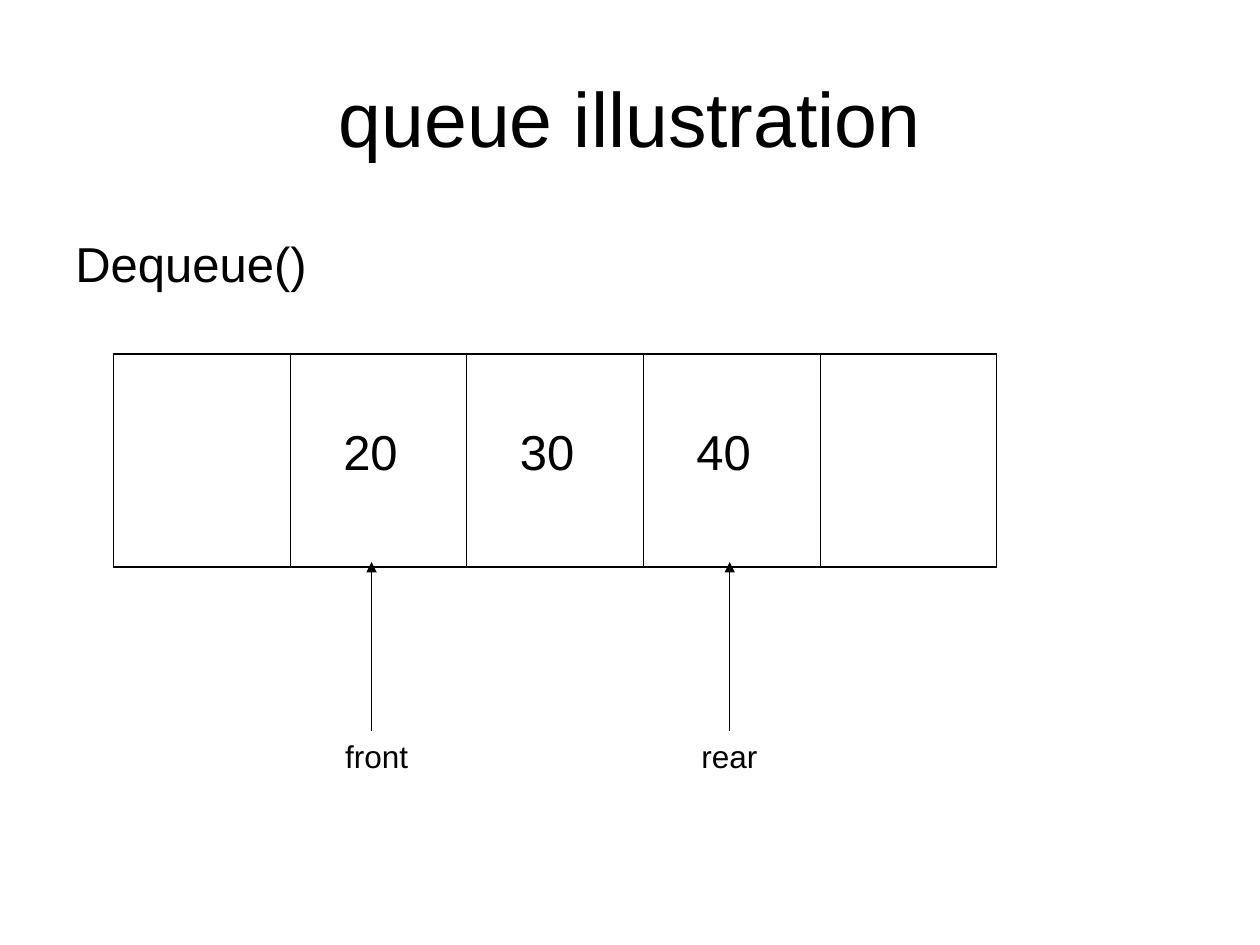
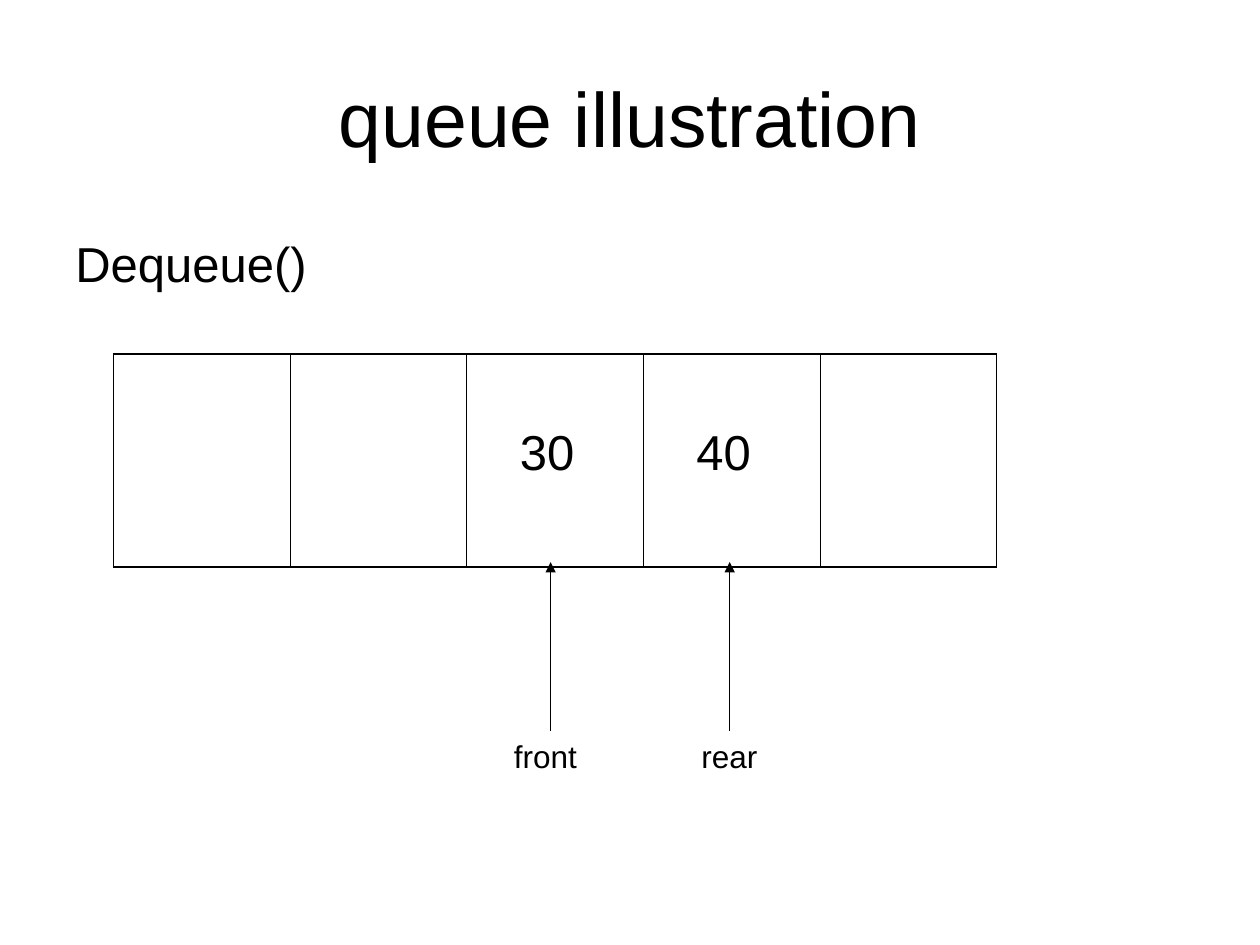
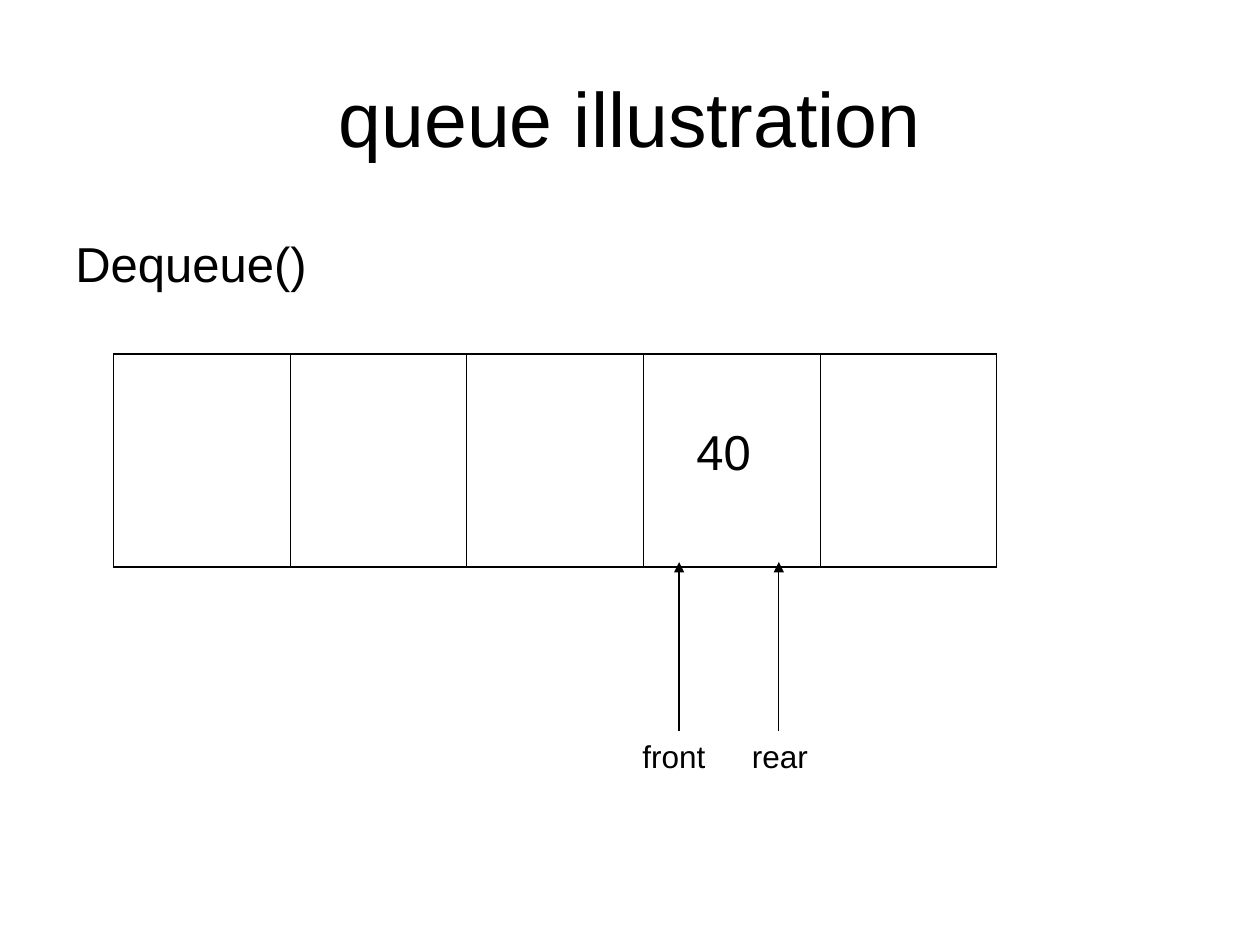
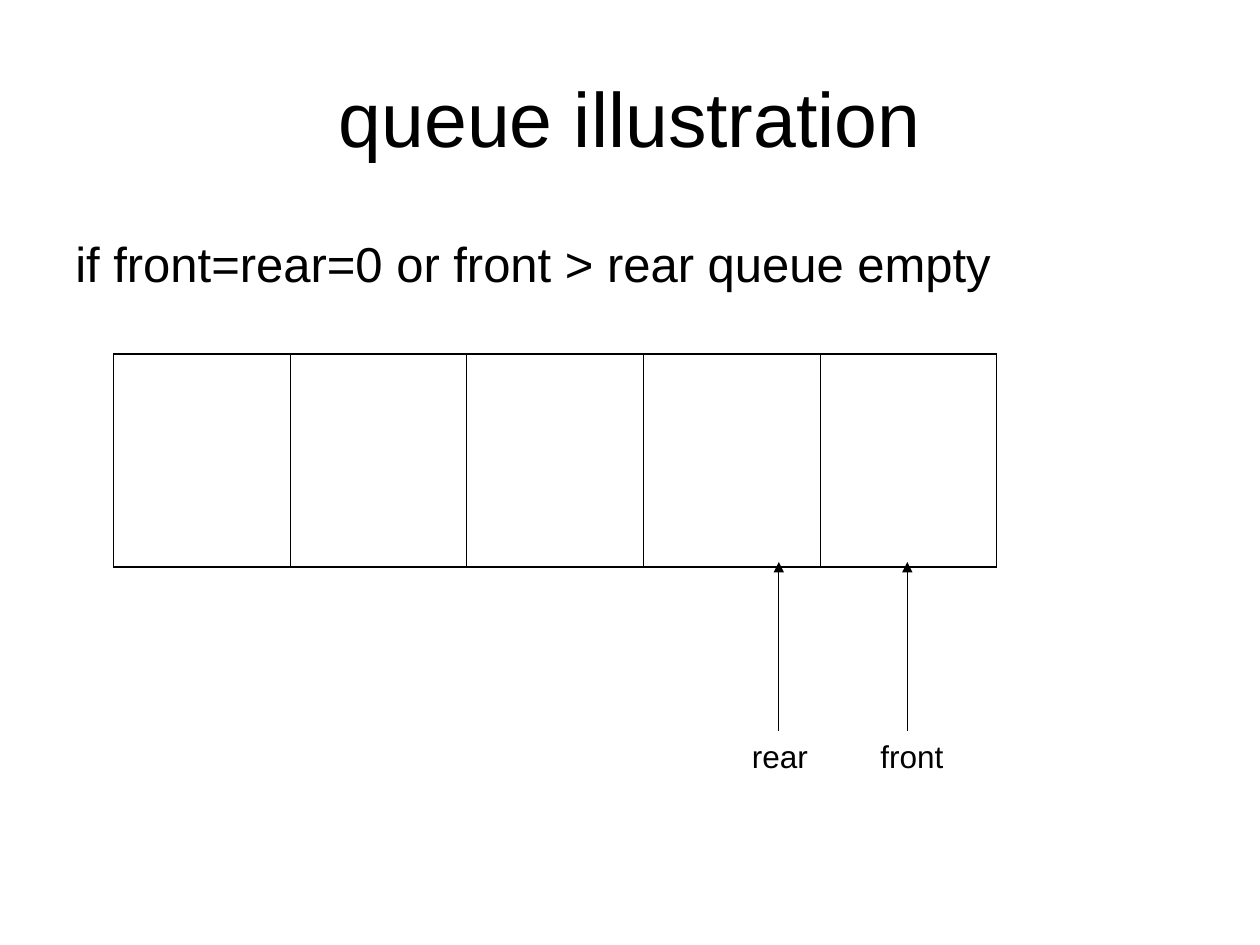
from lxml import etree
from pptx import Presentation
from pptx.dml.color import RGBColor
from pptx.enum.shapes import MSO_CONNECTOR
from pptx.enum.text import MSO_ANCHOR, PP_ALIGN
from pptx.oxml.ns import qn
from pptx.util import Cm, Pt

LEFT, CENTER = PP_ALIGN.LEFT, PP_ALIGN.CENTER
TOP, MIDDLE = MSO_ANCHOR.TOP, MSO_ANCHOR.MIDDLE
STRAIGHT = MSO_CONNECTOR.STRAIGHT

BLANK_LAYOUT = 6
BLACK = "000000"
OUTER_BORDER, INNER_BORDER, ARROW_WIDTH = 1.08, 0.45, 0.75
CELL_WIDTH, CELL_HEIGHT = 3.56, 4.29
POINTER_TIP, POINTER_BASE = 11.33, 14.73

# Each slide: caption, caption width, cell values,
# pointers as (name, arrow x, label left)
SLIDES = [
    ("Dequeue()", 11.23, ["", "20", "30", "40", ""],
     [("front", 7.49, 6.71), ("rear", 14.71, 13.89)]),
    ("Dequeue()", 11.23, ["", "", "30", "40", ""],
     [("front", 11.1, 10.11), ("rear", 14.71, 13.89)]),
    ("Dequeue()", 11.23, ["", "", "", "40", ""],
     [("front", 13.69, 12.7), ("rear", 15.7, 14.91)]),
    ("if front=rear=0 or front > rear queue empty", 19.84, [""] * 5,
     [("front", 18.29, 17.5), ("rear", 15.7, 14.91)]),
]


def color(hex_string):
    return RGBColor.from_string(hex_string)


class QueueDeck:
    """Holds the shared style and the slide being drawn."""

    font_name = "Arial"
    ink = BLACK

    def __init__(self):
        self.deck = Presentation()
        self.deck.slide_width = Cm(25.4)
        self.deck.slide_height = Cm(19.05)
        self.page = None

    def add_page(self):
        layout = self.deck.slide_layouts[BLANK_LAYOUT]
        self.page = self.deck.slides.add_slide(layout)

    def style(self, para, size):
        para.font.name = self.font_name
        para.font.size = Pt(size)
        para.font.color.rgb = color(self.ink)

    def text(self, words, left, top, width, height, size,
             align=LEFT, anchor=TOP, space_before=0):
        box = self.page.shapes.add_textbox(
            Cm(left), Cm(top), Cm(width), Cm(height))
        frame = box.text_frame
        frame.word_wrap = True
        frame.vertical_anchor = anchor
        para = frame.paragraphs[0]
        para.text = words
        para.alignment = align
        para.space_before = Pt(space_before)
        self.style(para, size)
        return box

    def title(self, words):
        self.text(words, 1.27, 0.76, 22.86, 3.18, 44, CENTER, MIDDLE)

    def caption(self, words, width):
        box = self.text(words, 1.27, 4.45, width, 12.57, 28, space_before=7)
        frame = box.text_frame
        frame.margin_top = Cm(0.25)
        properties = frame.paragraphs[0]._p.get_or_add_pPr()
        properties.set("marL", str(Cm(0.96)))
        properties.set("indent", str(Cm(-0.96)))

    def border(self, cell, side, width):
        line = etree.SubElement(cell._tc.get_or_add_tcPr(),
                                qn(f"a:ln{side}"), w=str(Pt(width)))
        fill = etree.SubElement(line, qn("a:solidFill"))
        etree.SubElement(fill, qn("a:srgbClr"), val=self.ink)

    def queue(self, values):
        count = len(values)
        table = self.page.shapes.add_table(
            1, count, Cm(2.29), Cm(7.14),
            Cm(CELL_WIDTH * count), Cm(CELL_HEIGHT)).table
        table.first_row = table.horz_banding = False
        for index, value in enumerate(values):
            table.columns[index].width = Cm(CELL_WIDTH)
            cell = table.cell(0, index)
            widths = {
                "L": OUTER_BORDER if index == 0 else INNER_BORDER,
                "R": OUTER_BORDER if index == count - 1 else INNER_BORDER,
                "T": OUTER_BORDER,
                "B": OUTER_BORDER,
            }
            for side, width in widths.items():
                self.border(cell, side, width)
            cell.fill.background()
            cell.margin_left, cell.margin_top = Cm(1.07), Cm(1.46)
            para = cell.text_frame.paragraphs[0]
            para.text = value
            self.style(para, 28)

    def pointer_label(self, name, left):
        self.text(name, left, POINTER_BASE, 1.8, 1.02, 18, space_before=11.2)

    def pointer_arrow(self, x):
        arrow = self.page.shapes.add_connector(
            STRAIGHT, Cm(x), Cm(POINTER_BASE), Cm(x), Cm(POINTER_TIP))
        arrow.line.color.rgb = color(self.ink)
        arrow.line.width = Pt(ARROW_WIDTH)
        etree.SubElement(arrow.line._get_or_add_ln(),
                         qn("a:tailEnd"), type="triangle")
        etree.SubElement(arrow._element.spPr, qn("a:effectLst"))


def main():
    slides = QueueDeck()
    for caption, caption_width, values, pointers in SLIDES:
        slides.add_page()
        slides.title("queue illustration")
        slides.caption(caption, caption_width)
        slides.queue(values)
        for name, arrow_x, label_left in pointers:
            slides.pointer_label(name, label_left)
            slides.pointer_arrow(arrow_x)
    slides.deck.save("out.pptx")


if __name__ == "__main__":
    main()
